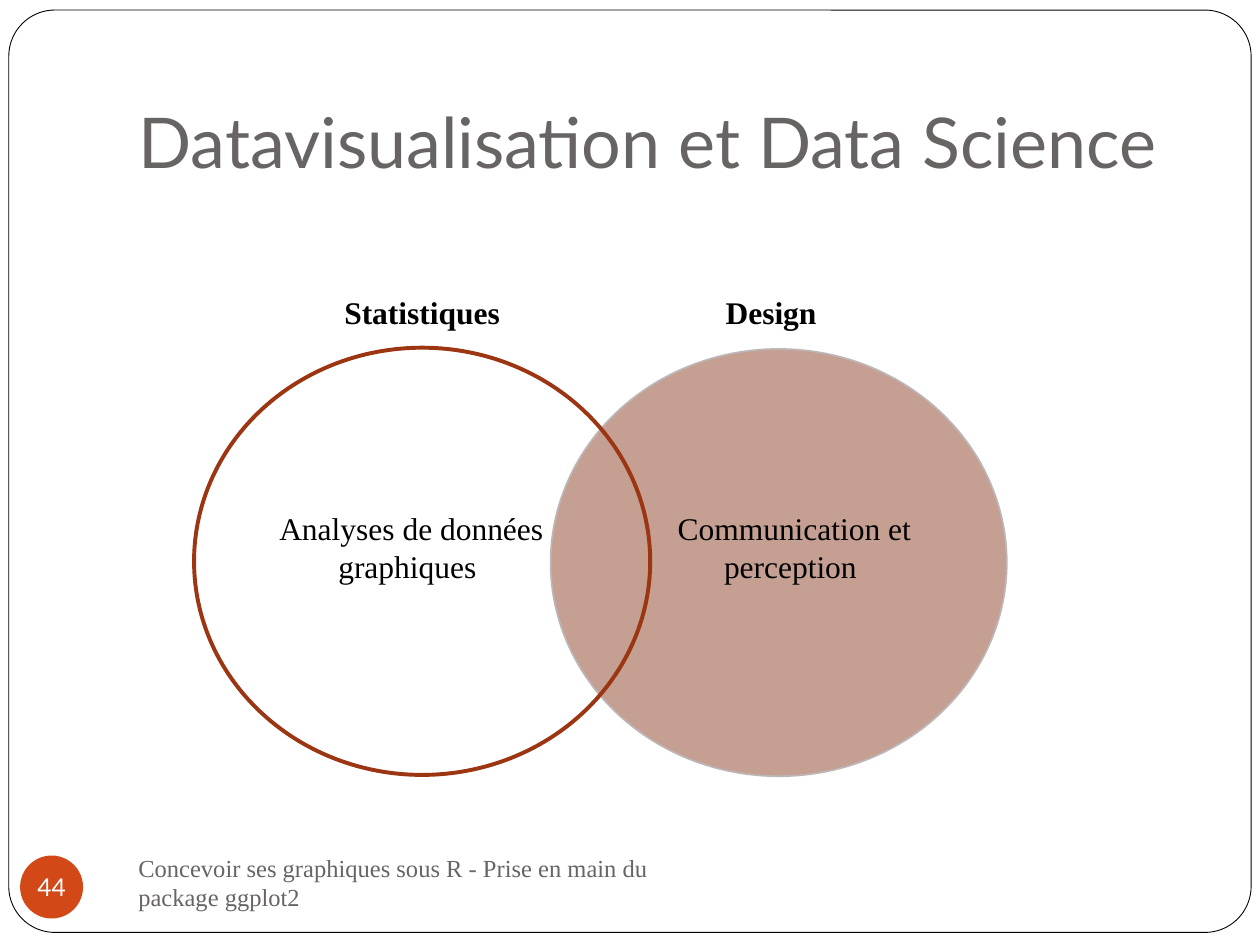
import pptx
import pptx.dml.color
import pptx.enum.shapes
import pptx.enum.text
import pptx.util

Inches = pptx.util.Inches
SHAPE = pptx.enum.shapes.MSO_SHAPE
ALIGN = pptx.enum.text.PP_ALIGN
ANCHOR = pptx.enum.text.MSO_ANCHOR

THEME = {
    "sans": "Lato", "serif": "Times New Roman",
    "title": 40, "body": 18, "small": 14,
    "grey": "696464", "black": "000000", "white": "FFFFFF", "badge": "D34817",
    "design_fill": "C49F92", "design_line": "BDB5B6", "stats_line": "9C3511",
}
TITLE = "Datavisualisation et Data Science"
FOOTER = "Concevoir ses graphiques sous R - Prise en main du package ggplot2"
PAGE = "44"
CIRCLES = [
    {"at": (4.37, 2.77), "fill": "design_fill", "line": "design_line", "width": 1},
    {"at": (1.54, 2.76), "line": "stats_line", "width": 2.25},
]
CIRCLE_SIZE = (3.62, 3.39)
FIELDS = [
    {"name": "Statistiques", "name_left": 2.09,
     "topic": "Analyses de données graphiques ", "topic_left": 1.85},
    {"name": "Design", "name_left": 4.86,
     "topic": "Communication et perception ", "topic_left": 4.89},
]


def rgb(key):
    """Return the theme colour named by key."""
    return pptx.dml.color.RGBColor.from_string(THEME[key])


def add_shape(s, kind, at, fill=None, line=None, width=1):
    """Add a flat preset shape with an optional fill and outline."""
    sp = s.shapes.add_shape(kind, *map(Inches, at))
    sp.shadow.inherit = False
    if fill:
        sp.fill.solid()
        sp.fill.fore_color.rgb = rgb(fill)
    else:
        sp.fill.background()
    if line:
        sp.line.color.rgb = rgb(line)
        sp.line.width = pptx.util.Pt(width)
    else:
        sp.line.fill.background()
    return sp


def set_text(sp, text, font="serif", size="body", color="black", bold=False,
             align=ALIGN.CENTER, anchor=ANCHOR.TOP, wrap=True,
             insets=(0.1, 0.05, 0.1, 0.05)):
    """Write formatted text into a shape."""
    tf = sp.text_frame
    tf.word_wrap = wrap
    tf.vertical_anchor = anchor
    tf.margin_left, tf.margin_top, tf.margin_right, tf.margin_bottom = map(Inches, insets)
    p = tf.paragraphs[0]
    p.alignment = align
    r = p.add_run()
    r.text = text
    r.font.name = THEME[font]
    r.font.size = pptx.util.Pt(THEME[size])
    r.font.bold = bold
    r.font.color.rgb = rgb(color)


def add_text(s, text, at, **fmt):
    """Add a text box with formatted text."""
    set_text(s.shapes.add_textbox(*map(Inches, at)), text, **fmt)


def main():
    """Build the slide and save it."""
    prs = pptx.Presentation()
    prs.slide_width, prs.slide_height = Inches(10), Inches(7.5)
    s = prs.slides.add_slide(prs.slide_layouts[5])
    frame = add_shape(s, SHAPE.ROUNDED_RECTANGLE, (0.07, 0.08, 9.86, 7.32),
                      fill="white", line="black", width=0.5)
    frame.adjustments[0] = 0.05
    s.shapes._spTree.insert(2, frame._element)

    title = s.shapes.title
    title.left, title.top, title.width, title.height = map(Inches, (1, 0.3, 8.5, 1.25))
    set_text(title, TITLE, font="sans", size="title", color="grey", align=ALIGN.LEFT,
             anchor=ANCHOR.BOTTOM, insets=(0.1, 0.05, 0.1, 0.1))

    add_text(s, FOOTER, (1, 6.75, 4.33, 0.5), size="small", color="grey",
             align=ALIGN.LEFT, anchor=ANCHOR.MIDDLE)
    badge = add_shape(s, SHAPE.OVAL, (0.16, 6.79, 0.5, 0.5), fill="badge")
    set_text(badge, PAGE, font="sans", size="small", color="white",
             anchor=ANCHOR.MIDDLE, wrap=False, insets=(0, 0, 0, 0))

    for circle in CIRCLES:
        add_shape(s, SHAPE.OVAL, circle["at"] + CIRCLE_SIZE, fill=circle.get("fill"),
                  line=circle["line"], width=circle["width"])
    for field in FIELDS:
        add_text(s, field["topic"], (field["topic_left"], 3.99, 2.83, 0.71))
        add_text(s, field["name"], (field["name_left"], 2.28, 2.52, 0.4), bold=True)
    prs.save("out.pptx")


if __name__ == "__main__":
    main()
